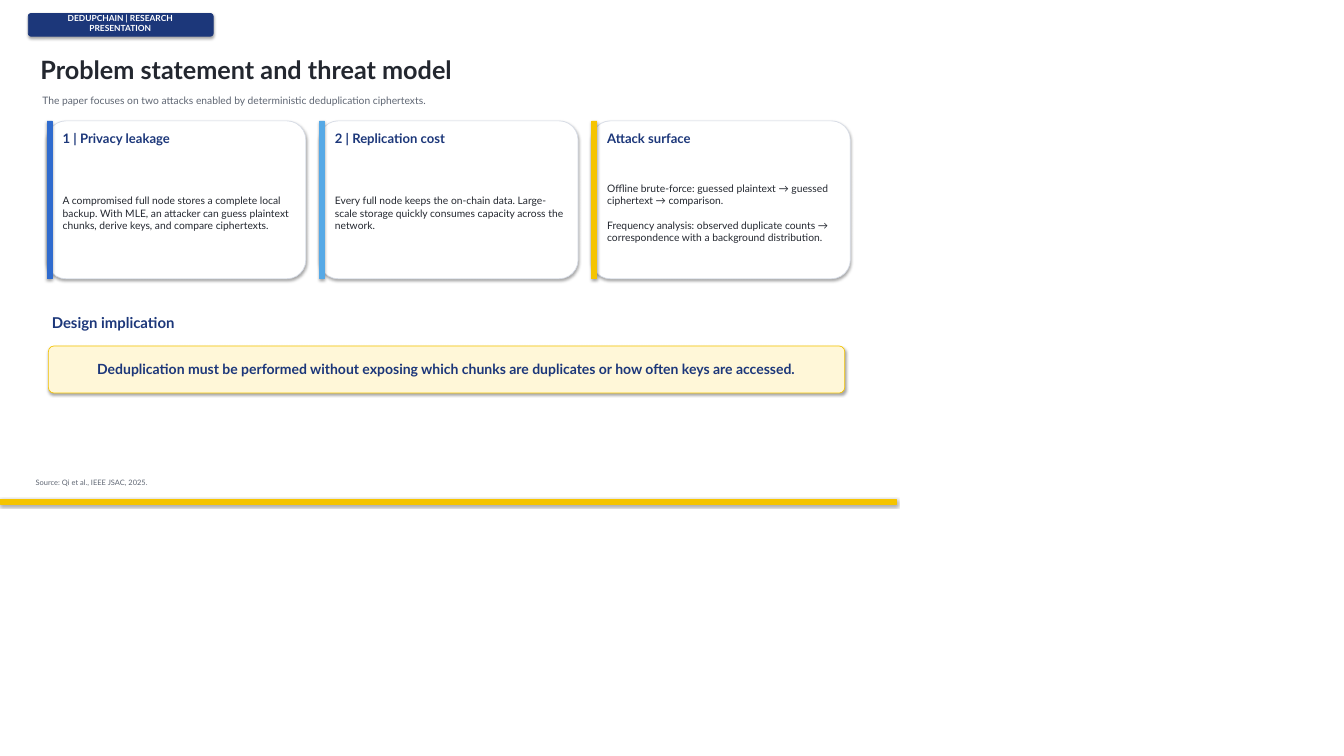
from dataclasses import dataclass

from pptx import Presentation
from pptx.dml.color import RGBColor
from pptx.enum.shapes import MSO_SHAPE
from pptx.enum.text import MSO_ANCHOR, MSO_AUTO_SIZE, PP_ALIGN
from pptx.slide import Slide
from pptx.util import Cm, Pt

RECTANGLE, ROUNDED = MSO_SHAPE.RECTANGLE, MSO_SHAPE.ROUNDED_RECTANGLE
MIDDLE = MSO_ANCHOR.MIDDLE
GROW = MSO_AUTO_SIZE.SHAPE_TO_FIT_TEXT
LEFT, CENTER = PP_ALIGN.LEFT, PP_ALIGN.CENTER

NAVY = RGBColor(0x1C, 0x37, 0x7A)
BLUE = RGBColor(0x2F, 0x6B, 0xCE)
SKY = RGBColor(0x56, 0xA9, 0xE6)
YELLOW = RGBColor(0xF5, 0xC4, 0x00)
CREAM = RGBColor(0xFF, 0xF7, 0xD8)
INK = RGBColor(0x23, 0x27, 0x2F)
GRAY = RGBColor(0x5F, 0x66, 0x73)
BORDER = RGBColor(0xD7, 0xDC, 0xE6)
WHITE = RGBColor(0xFF, 0xFF, 0xFF)

FONT = "Lato"
CORNER = 0.12
INSET = Cm(0.13)
FRAME_FORMAT = {
    "word_wrap": True,
    "auto_size": GROW,
    "vertical_anchor": MIDDLE,
    "margin_left": INSET,
    "margin_right": INSET,
    "margin_top": INSET,
    "margin_bottom": INSET,
}
PARAGRAPH_GAP = Pt(13.2)

CARD_LEFT, CARD_TOP = 1.78, 4.57
CARD_WIDTH, CARD_HEIGHT = 9.78, 5.97
CARD_PITCH = 10.29
CARD_TEXT_INDENT, CARD_TEXT_WIDTH = 0.46, 9.02


@dataclass(frozen=True)
class Box:
    """Position and size in centimetres."""
    left: float
    top: float
    width: float
    height: float

    def lengths(self) -> tuple[Cm, Cm, Cm, Cm]:
        return Cm(self.left), Cm(self.top), Cm(self.width), Cm(self.height)


@dataclass(frozen=True)
class TextStyle:
    size: float
    color: RGBColor
    bold: bool = False
    align: PP_ALIGN = LEFT


@dataclass(frozen=True)
class Card:
    heading: str
    paragraphs: tuple[str, ...]
    accent: RGBColor


TAG = TextStyle(9, WHITE, True, CENTER)
TITLE = TextStyle(27, INK, True)
SUBTITLE = TextStyle(11, GRAY)
CARD_HEADING = TextStyle(14, NAVY, True)
CARD_BODY = TextStyle(11, INK)
SECTION = TextStyle(16, NAVY, True)
CALLOUT = TextStyle(15, NAVY, True, CENTER)
SOURCE = TextStyle(8, GRAY)

CARDS = (
    Card("1 | Privacy leakage",
         ("A compromised full node stores a complete local backup. With MLE, an attacker "
          "can guess plaintext chunks, derive keys, and compare ciphertexts.",), BLUE),
    Card("2 | Replication cost",
         ("Every full node keeps the on-chain data. Large-scale storage quickly consumes "
          "capacity across the network.",), SKY),
    Card("Attack surface",
         ("Offline brute-force: guessed plaintext → guessed ciphertext → comparison.",
          "Frequency analysis: observed duplicate counts → correspondence with a "
          "background distribution."), YELLOW),
)


def add_panel(slide: Slide, kind: MSO_SHAPE, box: Box, fill: RGBColor, line: RGBColor) -> None:
    """Draw a filled shape that keeps the soft shadow of the theme."""
    panel = slide.shapes.add_shape(kind, *box.lengths())
    if kind == ROUNDED:
        panel.adjustments[0] = CORNER
    panel.fill.solid()
    panel.fill.fore_color.rgb = fill
    panel.line.color.rgb = line
    panel.line.width = Pt(0.75)


def add_text(slide: Slide, box: Box, style: TextStyle, *paragraphs: str) -> None:
    frame = slide.shapes.add_textbox(*box.lengths()).text_frame
    for name, value in FRAME_FORMAT.items():
        setattr(frame, name, value)
    font_format = {"name": FONT, "size": Pt(style.size), "bold": style.bold}
    for index, wording in enumerate(paragraphs):
        paragraph = frame.add_paragraph() if index else frame.paragraphs[0]
        paragraph.alignment = style.align
        if index:
            paragraph.space_before = PARAGRAPH_GAP
        run = paragraph.add_run()
        run.text = wording
        for name, value in font_format.items():
            setattr(run.font, name, value)
        run.font.color.rgb = style.color


def add_card(slide: Slide, card: Card, left: float) -> None:
    text_left = left + CARD_TEXT_INDENT
    add_panel(slide, ROUNDED, Box(left, CARD_TOP, CARD_WIDTH, CARD_HEIGHT), WHITE, BORDER)
    add_panel(slide, RECTANGLE, Box(left, CARD_TOP, 0.2, CARD_HEIGHT), card.accent, card.accent)
    add_text(slide, Box(text_left, 4.88, CARD_TEXT_WIDTH, 0.71), CARD_HEADING, card.heading)
    add_text(slide, Box(text_left, 5.79, CARD_TEXT_WIDTH, 4.52), CARD_BODY, *card.paragraphs)


def main() -> None:
    presentation = Presentation()
    presentation.slide_width, presentation.slide_height = Cm(50.8), Cm(28.58)
    slide = presentation.slides.add_slide(presentation.slide_layouts[6])

    add_panel(slide, ROUNDED, Box(1.07, 0.51, 6.99, 0.86), NAVY, NAVY)
    add_text(slide, Box(1.27, 0.51, 6.55, 0.71), TAG, "DEDUPCHAIN | RESEARCH PRESENTATION")
    add_text(slide, Box(1.4, 1.83, 22.35, 1.57), TITLE, "Problem statement and threat model")
    add_text(slide, Box(1.47, 3.4, 21.34, 0.81), SUBTITLE,
             "The paper focuses on two attacks enabled by deterministic deduplication ciphertexts.")

    for index, card in enumerate(CARDS):
        add_card(slide, card, CARD_LEFT + index * CARD_PITCH)

    add_text(slide, Box(1.83, 11.81, 5.59, 0.76), SECTION, "Design implication")
    add_panel(slide, ROUNDED, Box(1.83, 13.08, 30.1, 1.78), CREAM, YELLOW)
    add_text(slide, Box(1.98, 13.23, 29.79, 1.47), CALLOUT,
             "Deduplication must be performed without exposing which chunks are duplicates "
             "or how often keys are accessed.")

    add_panel(slide, RECTANGLE, Box(0, 18.87, 33.87, 0.18), YELLOW, YELLOW)
    add_text(slide, Box(1.22, 17.96, 19.3, 0.56), SOURCE, "Source: Qi et al., IEEE JSAC, 2025.")

    presentation.save("out.pptx")


if __name__ == "__main__":
    main()
